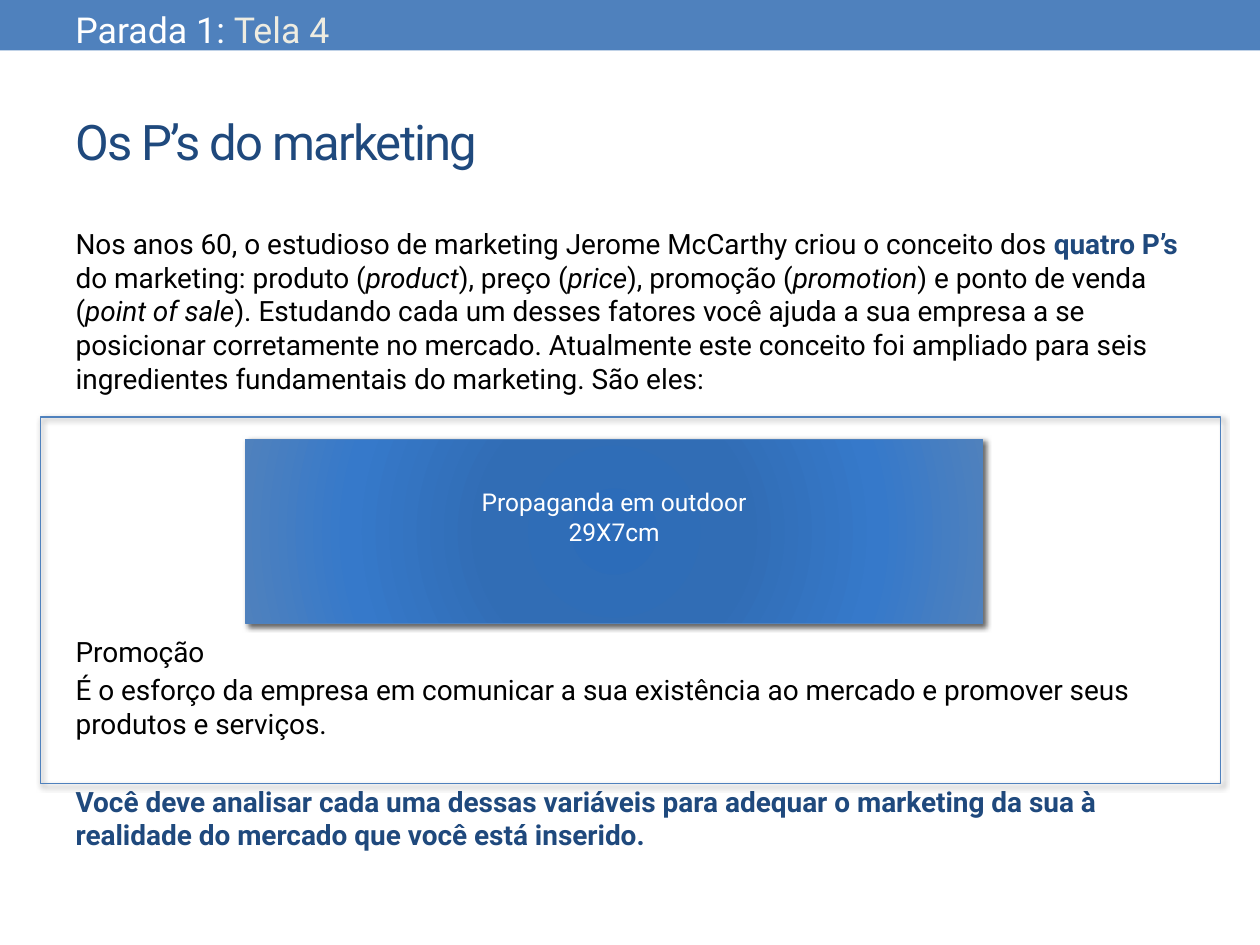
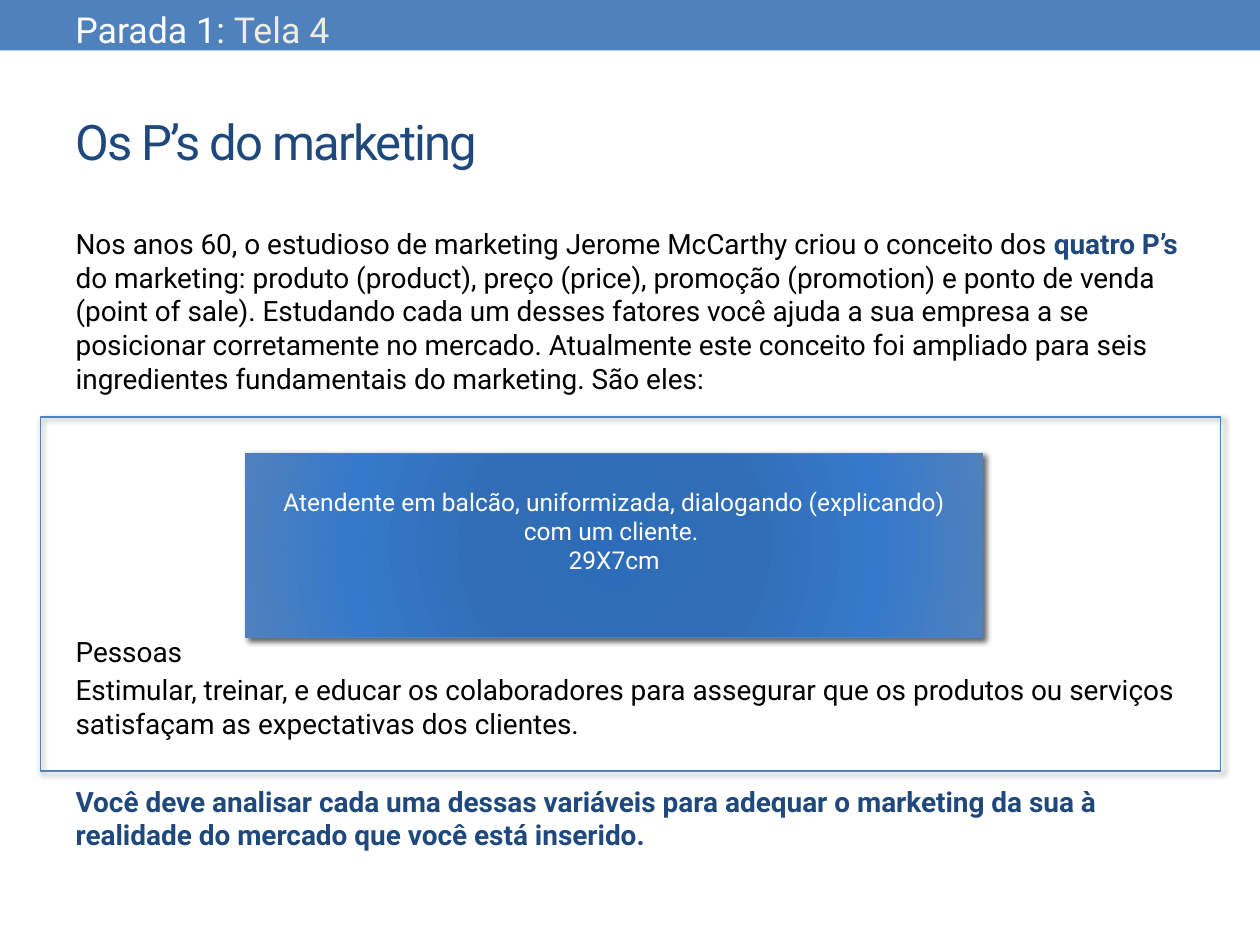
from lxml import etree
from pptx import Presentation
from pptx.dml.color import RGBColor
from pptx.enum.shapes import MSO_SHAPE
from pptx.enum.text import MSO_ANCHOR, MSO_AUTO_SIZE, PP_ALIGN
from pptx.oxml import parse_xml
from pptx.oxml.ns import nsdecls, qn
from pptx.util import Pt

RECTANGLE = MSO_SHAPE.RECTANGLE
MIDDLE = MSO_ANCHOR.MIDDLE
NO_AUTOFIT = MSO_AUTO_SIZE.NONE
LEFT, CENTER = PP_ALIGN.LEFT, PP_ALIGN.CENTER

BLUE = RGBColor(0x4F, 0x81, 0xBD)
NAVY = RGBColor(0x1F, 0x49, 0x7D)
BLACK = RGBColor(0, 0, 0)
WHITE = RGBColor(0xFF, 0xFF, 0xFF)
CREAM = RGBColor(0xEE, 0xEC, 0xE1)
GRADIENT_STOPS = [(0, "2C6CB9"), (34, "316DB5"), (70, "3679CA"), (100, "4F81BD")]

FONT = "Roboto"
MARGIN, CONTENT_WIDTH = 36, 648
LINE_HEIGHT, PARAGRAPH_GAP = 19.3, 3
LINE_STEP = LINE_HEIGHT + PARAGRAPH_GAP

INTRO_START = "Nos anos 60, o estudioso de marketing Jerome McCarthy criou o conceito dos "
INTRO_TERM = "quatro P’s "
# Asterisks enclose the English terms.
INTRO_END = (
    "do marketing: produto (*product*), preço (*price*), promoção (*promotion*) "
    "e ponto de venda (*point of sale*). Estudando cada um desses fatores você "
    "ajuda a sua empresa a se posicionar corretamente no mercado. Atualmente este "
    "conceito foi ampliado para seis ingredientes fundamentais do marketing. São eles:"
)
CONCLUSION = (
    "Você deve analisar cada uma dessas variáveis para adequar o marketing da sua "
    "à realidade do mercado que você está inserido."
)
SCREENS = [
    {
        "intro_end": INTRO_END,
        "topic": "Promoção",
        "definition": "É o esforço da empresa em comunicar a sua existência ao "
                      "mercado e promover seus produtos e serviços.",
        "scene": "Propaganda em outdoor",
        "body_height": 383.76, "scene_top": 251.1, "frame_height": 209.6,
    },
    {
        "intro_end": INTRO_END.replace("*", ""),
        "topic": "Pessoas",
        "definition": "Estimular, treinar, e educar os colaboradores para assegurar "
                      "que os produtos ou serviços satisfaçam as expectativas dos clientes.",
        "scene": "Atendente em balcão, uniformizada, dialogando (explicando) "
                 "com um cliente. ",
        "body_height": 396, "scene_top": 259.1, "frame_height": 202.4,
    },
]


def add_run(paragraph, text, size, color, bold=False, italic=False):
    run = paragraph.add_run()
    run.text = text
    font = run.font
    font.name, font.size, font.color.rgb = FONT, Pt(size), color
    font.bold, font.italic = bold, italic
    return run


def outline_with_shadow(shape):
    shape.line.color.rgb = BLUE
    shape.line.width = Pt(0.75)
    shape.shadow.inherit = False
    effects = shape.element.spPr.find(qn("a:effectLst"))
    effects.append(parse_xml(
        f'<a:outerShdw {nsdecls("a")} blurRad="{Pt(3)}" dist="{Pt(2)}" dir="2700000" '
        'algn="tl" rotWithShape="0"><a:srgbClr val="000000">'
        '<a:alpha val="60000"/></a:srgbClr></a:outerShdw>'))


presentation = Presentation()
presentation.slide_width, presentation.slide_height = Pt(720), Pt(540)
slides = [presentation.slides.add_slide(presentation.slide_layouts[1]) for _ in SCREENS]

# The top band belongs to the master, behind its placeholders.
band = slides[0].shapes.add_shape(RECTANGLE, 0, 0, Pt(720), Pt(28.8))
band.shadow.inherit = False
band.fill.solid()
band.fill.fore_color.rgb = BLUE
band.line.fill.background()
presentation.slide_master.placeholders[0].element.addprevious(band.element)

for slide, screen in zip(slides, SCREENS):
    title = slide.shapes.title
    title.left, title.top = Pt(MARGIN), Pt(41.76)
    title.width, title.height = Pt(CONTENT_WIDTH), Pt(77.76)
    title.text_frame.auto_size = NO_AUTOFIT
    title.text_frame.vertical_anchor = MIDDLE
    paragraph = title.text_frame.paragraphs[0]
    paragraph.alignment = LEFT
    run = add_run(paragraph, "Os P’s do marketing", 28, NAVY)
    run.font._element.set("spc", "-100")

    body = slide.placeholders[1]
    body.left, body.top = Pt(MARGIN), Pt(126)
    body.width, body.height = Pt(CONTENT_WIDTH), Pt(screen["body_height"])
    body_frame = body.text_frame
    body_frame.auto_size = NO_AUTOFIT
    intro = body_frame.paragraphs[0]
    add_run(intro, INTRO_START, 16, BLACK)
    add_run(intro, INTRO_TERM, 16, NAVY, bold=True)
    for index, piece in enumerate(screen["intro_end"].split("*")):
        add_run(intro, piece, 16, BLACK, italic=index % 2 == 1)
    # Each entry: text, colour, bold, number of lines left free above it.
    for text, color, bold, free_lines in [
        (screen["topic"], BLACK, False, 6),
        (screen["definition"], BLACK, False, 0),
        (CONCLUSION, NAVY, True, 1),
    ]:
        paragraph = body_frame.add_paragraph()
        paragraph.space_before = Pt(round(PARAGRAPH_GAP + free_lines * LINE_STEP, 1))
        add_run(paragraph, text, 16, color, bold)
    for paragraph in body_frame.paragraphs:
        properties = paragraph._p.get_or_add_pPr()
        properties.set("marL", "0")
        properties.set("indent", "0")
        etree.SubElement(properties, qn("a:buNone"))

    heading = slide.shapes.add_textbox(Pt(MARGIN), Pt(0.72), Pt(CONTENT_WIDTH), Pt(27.36))
    heading.text_frame.word_wrap = True
    paragraph = heading.text_frame.paragraphs[0]
    add_run(paragraph, "Parada 1: ", 20.4, WHITE)
    add_run(paragraph, "Tela 4", 20.4, CREAM)

    scene = slide.shapes.add_shape(
        RECTANGLE, Pt(140.4), Pt(screen["scene_top"]), Pt(421.2), Pt(105.4))
    scene.fill.background()
    outline_with_shadow(scene)
    stops = "".join(
        f'<a:gs pos="{position * 1000}"><a:srgbClr val="{color}"/></a:gs>'
        for position, color in GRADIENT_STOPS)
    gradient = parse_xml(
        f'<a:gradFill {nsdecls("a")} rotWithShape="1"><a:gsLst>{stops}</a:gsLst>'
        '<a:path path="circle"><a:fillToRect l="100000" t="100000" r="100000" '
        'b="100000"/></a:path></a:gradFill>')
    scene_properties = scene.element.spPr
    scene_properties.replace(scene_properties.find(qn("a:noFill")), gradient)
    scene_frame = scene.text_frame
    scene_frame.word_wrap = True
    scene_frame.vertical_anchor = MIDDLE
    scene_frame.margin_bottom = Pt(20.5)
    for paragraph, text in [
        (scene_frame.paragraphs[0], screen["scene"]),
        (scene_frame.add_paragraph(), "29X7cm"),
    ]:
        paragraph.alignment = CENTER
        add_run(paragraph, text, 14, WHITE)

    topic_frame = slide.shapes.add_shape(
        RECTANGLE, Pt(23.04), Pt(238.3), Pt(674.6), Pt(screen["frame_height"]))
    topic_frame.fill.background()
    outline_with_shadow(topic_frame)

presentation.save("out.pptx")
